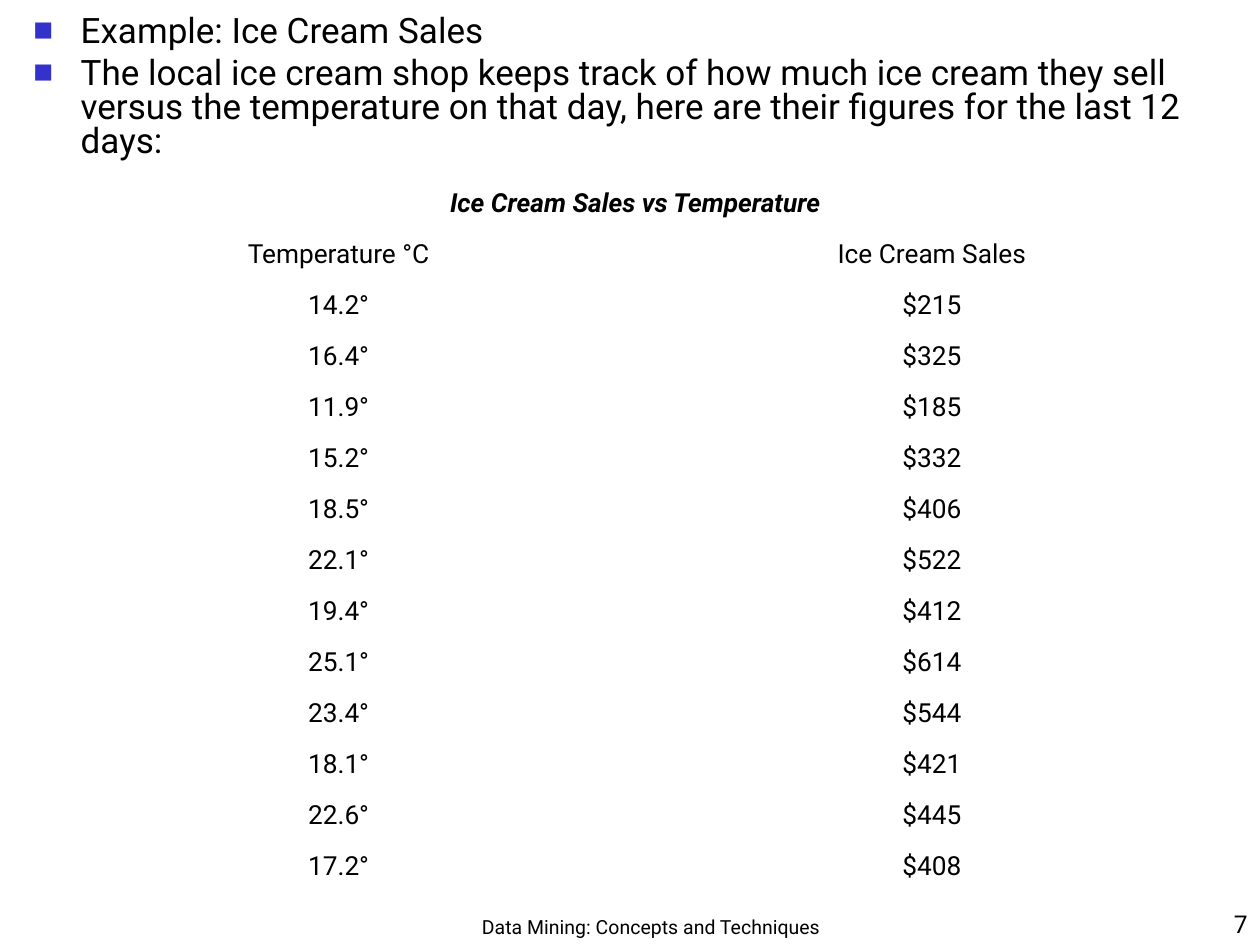
import pptx
import pptx.util
import pptx.dml.color
import pptx.enum.text
import pptx.oxml
import pptx.oxml.ns

Pt = pptx.util.Pt
Align = pptx.enum.text.PP_ALIGN
Anchor = pptx.enum.text.MSO_ANCHOR

FONT = "Roboto"
BLACK = "000000"
BLUE = "3333CC"

INTRO = [
    "Example: Ice Cream Sales",
    "The local ice cream shop keeps track of how much ice cream they sell "
    "versus the temperature on that day, here are their figures for the last 12 days:",
]
TITLE = "Ice Cream Sales vs Temperature"
HEADS = ("Temperature °C", "Ice Cream Sales")
SALES = [
    (14.2, 215), (16.4, 325), (11.9, 185), (15.2, 332),
    (18.5, 406), (22.1, 522), (19.4, 412), (25.1, 614),
    (23.4, 544), (18.1, 421), (22.6, 445), (17.2, 408),
]


def color(code):
    return pptx.dml.color.RGBColor.from_string(code)


def style(para, text, size, align, bold=False, italic=False):
    para.text = text
    para.alignment = align
    font = para.font
    font.name = FONT
    font.size = Pt(size)
    font.bold = bold
    font.italic = italic
    font.color.rgb = color(BLACK)


def bullet(para, indent):
    props = para._p.get_or_add_pPr()
    props.set("marL", str(Pt(indent)))
    props.set("indent", str(-Pt(indent)))
    space = pptx.oxml.ns.nsdecls("a")
    for mark in (
        f'<a:buClr {space}><a:srgbClr val="{BLUE}"/></a:buClr>',
        f'<a:buSzPct {space} val="60000"/>',
        f'<a:buFont {space} typeface="{FONT}"/>',
        f'<a:buChar {space} char="■"/>',
    ):
        props.append(pptx.oxml.parse_xml(mark))


def add_box(slide, left, top, width, height, anchor):
    box = slide.shapes.add_textbox(Pt(left), Pt(top), Pt(width), Pt(height))
    frame = box.text_frame
    frame.word_wrap = True
    frame.vertical_anchor = anchor
    return frame


def add_intro(slide):
    frame = add_box(slide, 12, 6, 708, 90, Anchor.TOP)
    for index, text in enumerate(INTRO):
        para = frame.add_paragraph() if index else frame.paragraphs[0]
        bullet(para, 27)
        para.line_spacing = 0.8
        para.space_before = Pt(5 if index else 0)
        style(para, text, 20, Align.LEFT)


def add_note(slide, area, text, size, align, spacing=1.0):
    para = add_box(slide, *area, Anchor.BOTTOM).paragraphs[0]
    para.line_spacing = spacing
    style(para, text, size, align)


def add_sales(slide):
    rows = [(TITLE, ""), HEADS]
    rows += [(f"{heat}°", f"${sum_}") for heat, sum_ in SALES]
    shape = slide.shapes.add_table(
        len(rows), 2, Pt(24), Pt(102), Pt(678), Pt(408))
    table = shape.table
    table.first_row = False
    table.horz_banding = False
    table.cell(0, 0).merge(table.cell(0, 1))
    for row, texts in enumerate(rows):
        for col, text in enumerate(texts):
            cell = table.cell(row, col)
            cell.fill.background()
            cell.vertical_anchor = Anchor.MIDDLE
            cell.margin_left = cell.margin_right = Pt(2.4)
            para = cell.text_frame.paragraphs[0]
            style(para, text, 15, Align.CENTER, row == 0, row == 0)


def main():
    deck = pptx.Presentation()
    deck.slide_width = Pt(720)
    deck.slide_height = Pt(540)
    slide = deck.slides.add_slide(deck.slide_layouts[6])
    add_intro(slide)
    add_note(slide, (258, 510, 228, 30),
             "Data Mining: Concepts and Techniques", 11.1, Align.CENTER, 0.9)
    add_note(slide, (570, 504, 150, 36), "7", 14, Align.RIGHT)
    add_sales(slide)
    deck.save("out.pptx")


if __name__ == "__main__":
    main()
